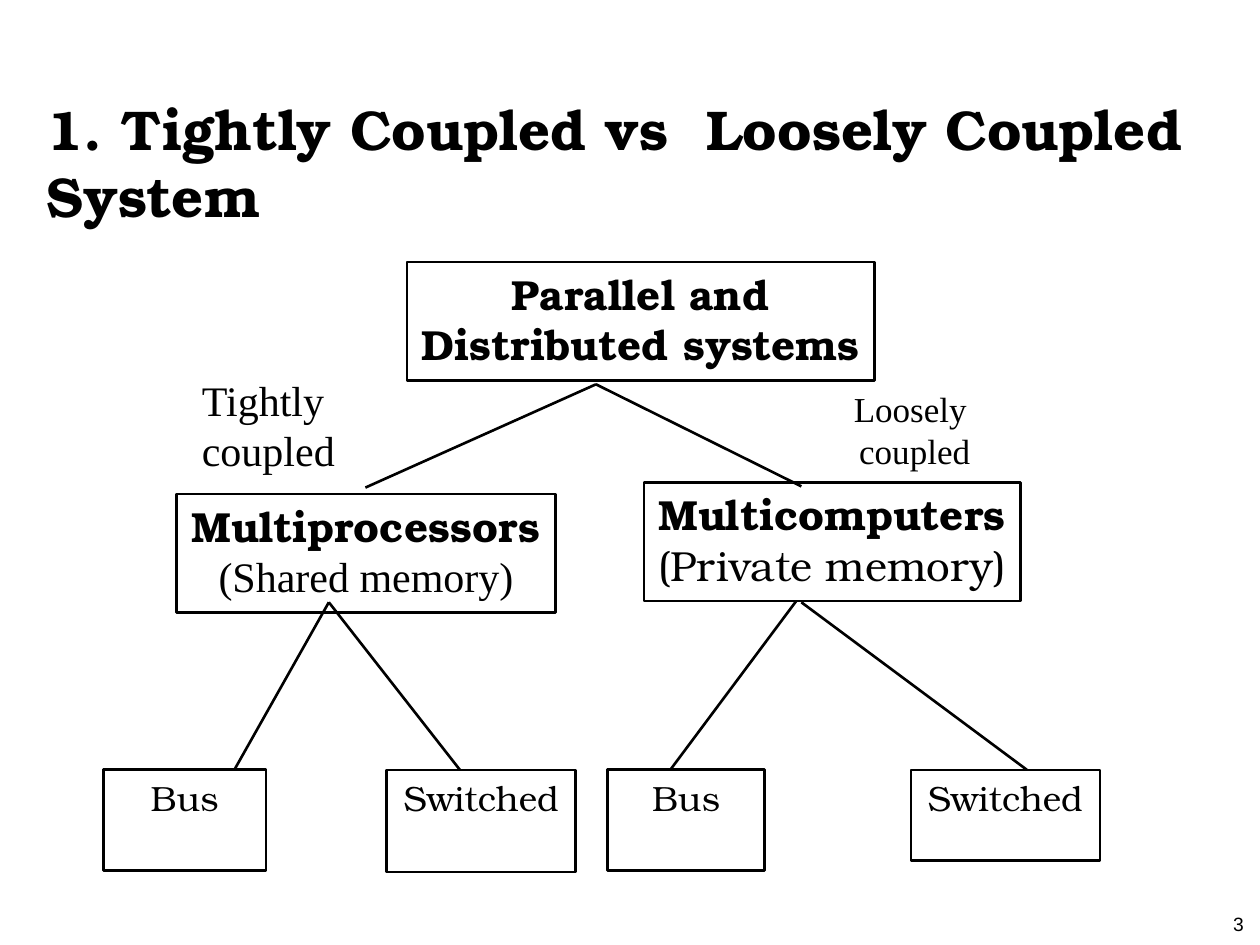
from dataclasses import dataclass

from lxml.etree import SubElement
from pptx import Presentation
from pptx.dml.color import RGBColor
from pptx.enum.shapes import MSO_CONNECTOR, MSO_SHAPE
from pptx.enum.text import MSO_ANCHOR, PP_ALIGN
from pptx.oxml.ns import qn
from pptx.slide import Slide
from pptx.util import Inches, Pt

COLORS = {"ink": "000000", "paper": "FFFFFF"}
SERIF, ROMAN, SANS = "TeX Gyre Bonum", "Times New Roman", "Arial"
COLUMNS, ROWS = 100, 75


@dataclass
class TreeSlide:
    """Draws tree diagram elements on a slide, measured in grid columns and rows."""

    slide: Slide
    width: int
    height: int
    line_width: float = 1.5

    def place(self, column, row):
        return round(self.width * column / COLUMNS), round(self.height * row / ROWS)

    def fill_text(self, shape, lines, size, align):
        frame = shape.text_frame
        frame.word_wrap = True
        frame.vertical_anchor = MSO_ANCHOR.TOP
        for index, (text, font, bold) in enumerate(lines):
            paragraph = frame.add_paragraph() if index else frame.paragraphs[0]
            paragraph.text = text
            paragraph.alignment = align
            paragraph.font.name = font
            paragraph.font.size = Pt(size)
            paragraph.font.bold = bold
            paragraph.font.color.rgb = RGBColor.from_string(COLORS["ink"])

    def label(self, area, lines, size, align=PP_ALIGN.CENTER):
        shape = self.slide.shapes.add_textbox(*self.place(*area[:2]), *self.place(*area[2:]))
        self.fill_text(shape, lines, size, align)

    def box(self, area, lines, size):
        shape = self.slide.shapes.add_shape(
            MSO_SHAPE.RECTANGLE, *self.place(*area[:2]), *self.place(*area[2:]))
        shape.shadow.inherit = False
        shape.fill.solid()
        shape.fill.fore_color.rgb = RGBColor.from_string(COLORS["paper"])
        self.outline(shape)
        self.fill_text(shape, lines, size, PP_ALIGN.CENTER)

    def branch(self, start, end):
        connector = self.slide.shapes.add_connector(
            MSO_CONNECTOR.STRAIGHT, *self.place(*start), *self.place(*end))
        self.outline(connector)
        SubElement(connector._element.spPr, qn("a:effectLst"))

    def outline(self, shape):
        shape.line.color.rgb = RGBColor.from_string(COLORS["ink"])
        shape.line.width = Pt(self.line_width)


def main():
    presentation = Presentation()
    presentation.slide_width, presentation.slide_height = Inches(10), Inches(7.5)
    slide = presentation.slides.add_slide(presentation.slide_layouts[6])
    tree = TreeSlide(slide, presentation.slide_width, presentation.slide_height)

    tree.label((78.9, 71.9, 20.8, 2.8), [("3", SANS, False)], 11, PP_ALIGN.RIGHT)
    tree.label((2.7, 7, 95, 6.9),
               [("1. Tightly Coupled vs  Loosely Coupled System", SERIF, True)],
               32, PP_ALIGN.LEFT)

    tree.box((32.3, 20.8, 37.1, 9.4),
             [("Parallel and Distributed systems", SERIF, True)], 24)
    families = [
        ((14, 39.2, 30.1, 9.4), "Multiprocessors", "(Shared memory)", ROMAN),
        ((51.1, 38.3, 29.9, 9.4), "Multicomputers", "(Private memory)", SERIF),
    ]
    for area, name, memory, font in families:
        tree.box(area, [(name, SERIF, True), (memory, font, False)], 24)

    leaf_top = 61.1
    leaves = [
        ("Bus", 8.2, 12.9, 8),
        ("Switched", 30.7, 15, 8.1),
        ("Bus", 48.2, 12.5, 8),
        ("Switched", 72.3, 15, 7.2),
    ]
    for name, left, width, height in leaves:
        tree.box((left, leaf_top, width, height), [(name, SERIF, False)], 20)

    branches = [
        ((47.3, 30.5), (29, 38.7)),
        ((47.3, 30.5), (63.6, 38.6)),
        ((26.1, 47.8), (18.6, leaf_top)),
        ((26.1, 47.8), (36.5, leaf_top)),
        ((63.2, 47.7), (53.2, leaf_top)),
        ((63.6, 47.8), (81.5, leaf_top)),
    ]
    for start, end in branches:
        tree.branch(start, end)

    couplings = [
        ((11.6, 29.2, 19.4, 7.3), "Tightly ", 24),
        ((59.8, 30.3, 25.6, 7), "Loosely ", 20),
    ]
    for area, degree, size in couplings:
        tree.label(area, [(degree, ROMAN, False), ("coupled", ROMAN, False)], size)

    presentation.save("out.pptx")


if __name__ == "__main__":
    main()
